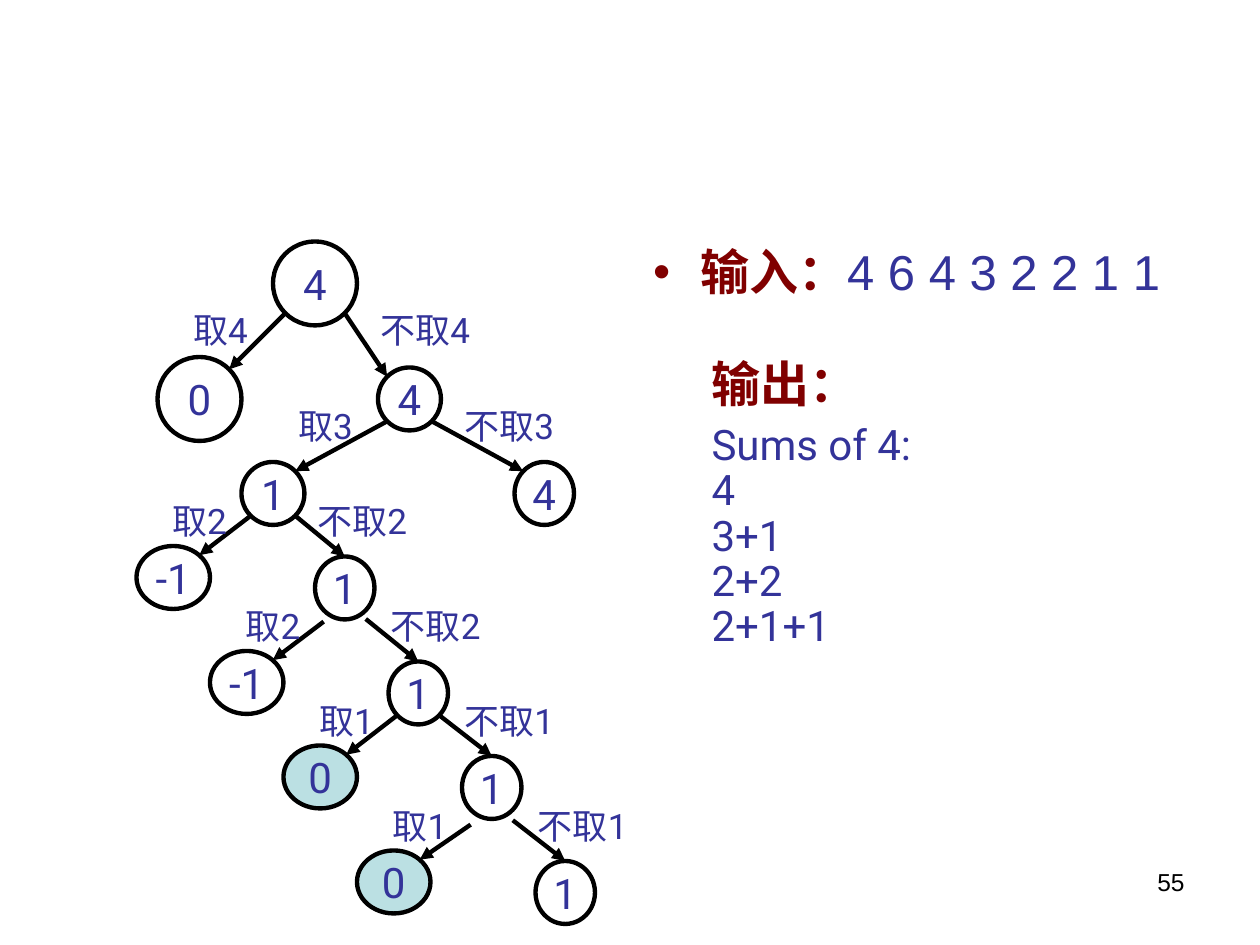
from lxml.etree import SubElement
from pptx import Presentation
from pptx.dml.color import RGBColor
from pptx.enum.shapes import MSO_CONNECTOR, MSO_SHAPE
from pptx.enum.text import MSO_ANCHOR, MSO_AUTO_SIZE, PP_ALIGN
from pptx.oxml.ns import qn
from pptx.util import Pt

COLORS = {"ink": "333399", "heading": "800000", "line": "000000", "solution": "BBE0E3"}

NODES = {
    "root": ("4", 156, 138, 48, 48),
    "take 4": ("0", 90, 204, 48, 48),
    "skip 4": ("4", 216, 210, 36, 36),
    "take 3": ("1", 138, 264, 36, 36),
    "skip 3": ("4", 294, 264, 34, 36),
    "take first 2": ("-1", 78, 312, 42, 36),
    "skip first 2": ("1", 180, 318, 34, 36),
    "take second 2": ("-1", 120, 372, 42, 36),
    "skip second 2": ("1", 222, 378, 34, 36),
    "take first 1": ("0", 162, 426, 42, 36),
    "skip first 1": ("1", 264, 432, 34, 36),
    "take second 1": ("0", 204, 486, 42, 36),
    "skip second 1": ("1", 306, 492, 34, 36),
}
SOLUTIONS = ("take first 1", "take second 1")

# parent, branch, number, label top, label lefts, start drops, skip arrow ends at top
BRANCHES = [
    ("root", "4", "4", 173, (96, 204), (0, 0), False),
    ("skip 4", "3", "3", 227.5, (156, 252), (0, 0), False),
    ("take 3", "first 2", "2", 282, (84, 168), (0, 0), True),
    ("skip first 2", "second 2", "2", 342, (126, 210), (6.5, 5), True),
    ("skip second 2", "first 1", "1", 396, (168, 252), (0, 0), True),
    ("skip first 1", "second 1", "1", 456, (210, 294), (8.5, 6), True),
]
CHOICES = [("take", "取", 60, -1), ("skip", "不取", 78, 1)]

INPUT = ("输入：", "4 6 4 3 2 2 1 1")
OUTPUT_HEADING = "输出："
OUTPUT_LINES = ["Sums of 4:", "4", "3+1", "2+2", "2+1+1"]
DIAGONAL = 0.5 ** 0.5


def write(para, text, size=24, font="Roboto", color="ink", bold=False, align=None, spacing=None, before=None):
    for index, line in enumerate(text.split("\n")):
        if index:
            para.add_line_break()
        span = para.add_run()
        span.text = line
        span.font.size = Pt(size)
        span.font.name = font
        span.font.bold = bold
        span.font.color.rgb = RGBColor.from_string(COLORS[color])
    if align is not None:
        para.alignment = align
    if spacing is not None:
        para.line_spacing = spacing
    if before is not None:
        para.space_before = Pt(before)


def add_box(page, left, top, width, height):
    box = page.shapes.add_textbox(Pt(left), Pt(top), Pt(width), Pt(height))
    box.text_frame.word_wrap = True
    return box.text_frame


def add_node(page, text, left, top, width, height, solution):
    node = page.shapes.add_shape(MSO_SHAPE.OVAL, Pt(left), Pt(top), Pt(width), Pt(height))
    node.shadow.inherit = False
    if solution:
        node.fill.solid()
        node.fill.fore_color.rgb = RGBColor.from_string(COLORS["solution"])
    else:
        node.fill.background()
    node.line.color.rgb = RGBColor.from_string(COLORS["line"])
    node.line.width = Pt(2.5)
    frame = node.text_frame
    frame.word_wrap = False
    frame.vertical_anchor = MSO_ANCHOR.MIDDLE
    write(frame.paragraphs[0], text, align=PP_ALIGN.CENTER)


def rim_point(name, across, down):
    text, left, top, width, height = NODES[name]
    return left + width / 2 * (1 + across), top + height / 2 * (1 + down)


def add_arrow(page, start, end):
    arrow = page.shapes.add_connector(MSO_CONNECTOR.STRAIGHT, *map(Pt, start + end))
    arrow.line.color.rgb = RGBColor.from_string(COLORS["line"])
    arrow.line.width = Pt(2.5)
    SubElement(arrow.line._get_or_add_ln(), qn("a:tailEnd"), type="triangle")
    SubElement(arrow._element.spPr, qn("a:effectLst"))


def add_tree(page):
    for name, node in NODES.items():
        add_node(page, *node, solution=name in SOLUTIONS)
    for parent, branch, number, label_top, lefts, drops, ends_at_top in BRANCHES:
        for (choice, word, width, side), left, drop in zip(CHOICES, lefts, drops):
            x, y = rim_point(parent, side * DIAGONAL, DIAGONAL)
            child = f"{choice} {branch}"
            if ends_at_top and choice == "skip":
                end = rim_point(child, 0, -1)
            else:
                end = rim_point(child, -side * DIAGONAL, -DIAGONAL)
            add_arrow(page, (x, y + drop), end)
            frame = add_box(page, left, label_top, width, 31.5)
            write(frame.paragraphs[0], word + number, size=20, align=PP_ALIGN.CENTER)


def add_input(page):
    body = page.placeholders[1]
    body.left, body.top, body.width, body.height = Pt(366), Pt(138), Pt(318), Pt(39)
    frame = body.text_frame
    frame.auto_size = MSO_AUTO_SIZE.NONE
    para = frame.paragraphs[0]
    properties = para._p.get_or_add_pPr()
    properties.set("marL", str(Pt(27)))
    properties.set("indent", str(-Pt(27)))
    bullet_color = SubElement(properties, qn("a:buClr"))
    SubElement(bullet_color, qn("a:srgbClr"), val=COLORS["heading"])
    SubElement(properties, qn("a:buChar"), char="•")
    heading, numbers = INPUT
    write(para, heading, size=28, font="Arial", color="heading", bold=True)
    write(para, numbers, size=28, font="Arial", spacing=0.9, before=0)


def add_output(page):
    frame = add_box(page, 399.5, 202.5, 278, 173.5)
    write(frame.paragraphs[0], OUTPUT_HEADING, size=28, color="heading", bold=True, spacing=0.9)
    write(frame.add_paragraph(), "\n".join(OUTPUT_LINES), spacing=0.9, before=6)


def main():
    deck = Presentation()
    deck.slide_width, deck.slide_height = Pt(720), Pt(540)
    page = deck.slides.add_slide(deck.slide_layouts[1])
    title = page.shapes.title._element
    title.getparent().remove(title)
    add_input(page)
    add_tree(page)
    add_output(page)
    number = add_box(page, 516, 492, 168, 37.5)
    write(number.paragraphs[0], "55", size=14, font="Arial", color="line", align=PP_ALIGN.RIGHT)
    deck.save("out.pptx")


if __name__ == "__main__":
    main()
